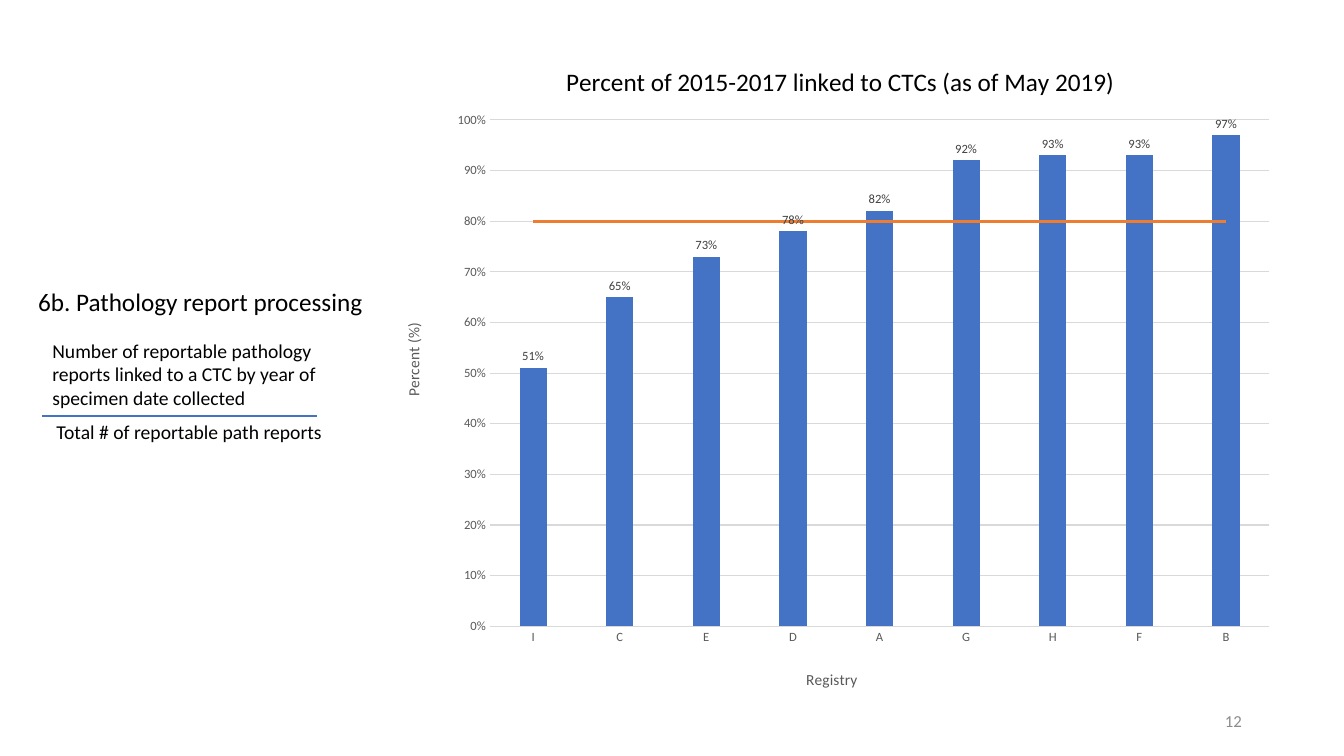
"""Builds the slide on pathology reports linked to CTCs by registry."""
from copy import deepcopy

from lxml import etree
from pptx import Presentation
from pptx.chart.data import CategoryChartData
from pptx.dml.color import RGBColor
from pptx.enum.chart import XL_CHART_TYPE as CT, XL_LABEL_POSITION as LP
from pptx.enum.chart import XL_MARKER_STYLE as MS, XL_TICK_MARK as TM
from pptx.enum.shapes import MSO_CONNECTOR as CONN
from pptx.enum.text import MSO_ANCHOR as ANCHOR, MSO_AUTO_SIZE as AUTO, PP_ALIGN as ALIGN
from pptx.oxml import parse_xml
from pptx.oxml.ns import nsdecls, qn
from pptx.util import Cm, Pt

COLORS = {"text": "000000", "axis": "595959", "label": "404040", "grid": "D9D9D9",
          "bar": "4472C4", "target": "ED7D31", "number": "8C8C8C"}
RATES = {"I": 0.51, "C": 0.65, "E": 0.73, "D": 0.78, "A": 0.82,
         "G": 0.92, "H": 0.93, "F": 0.93, "B": 0.97}
TARGET = 0.8


class SlideBuilder:
    font_name = "Calibri"

    def __init__(self, slide):
        self.s = slide

    def rgb(self, color):
        return RGBColor.from_string(COLORS[color])

    def style_font(self, font, size, color):
        font.name, font.size, font.bold = self.font_name, Pt(size), False
        font.color.rgb = self.rgb(color)

    def style_line(self, line, color, width):
        line.color.rgb = self.rgb(color)
        line.width = Pt(width)

    def text(self, box, text, size, color="text", align=ALIGN.LEFT,
             anchor=ANCHOR.TOP, auto_size=AUTO.SHAPE_TO_FIT_TEXT):
        tf = self.s.shapes.add_textbox(*map(Cm, box)).text_frame
        tf.word_wrap, tf.auto_size, tf.vertical_anchor = True, auto_size, anchor
        p = tf.paragraphs[0]
        p.text, p.alignment = text, align
        self.style_font(p.font, size, color)

    def line(self, ends, color, width):
        cx = self.s.shapes.add_connector(CONN.STRAIGHT, *map(Cm, ends))
        self.style_line(cx.line, color, width)
        etree.SubElement(cx._element.spPr, qn("a:effectLst"))

    def place(self, element, **fractions):
        for old in element.findall(qn("c:layout")):
            element.remove(old)
        inner = '<c:layoutTarget val="inner"/>' if "w" in fractions else ""
        modes = "".join(f'<c:{k}Mode val="edge"/>' for k in "xy")
        values = "".join(f'<c:{k} val="{v}"/>' for k, v in fractions.items())
        layout = parse_xml(f'<c:layout {nsdecls("c")}><c:manualLayout>{inner}{modes}{values}'
                           '</c:manualLayout></c:layout>')
        element.insert(0 if element.find(qn("c:tx")) is None else 1, layout)

    def title(self, title, text, size, color, x, y):
        p = title.text_frame.paragraphs[0]
        p.text = text
        self.style_font(p.font, size, color)
        self.place(title._element, x=x, y=y)

    def axis(self, axis, text, x, y):
        axis.major_tick_mark = axis.minor_tick_mark = TM.NONE
        self.style_font(axis.tick_labels.font, 9, "axis")
        self.title(axis.axis_title, text, 11, "axis", x, y)

    def target_line(self, chart):
        bars = chart.plots[0]._element
        ser = bars.findall(qn("c:ser"))[1]
        for flag in ser.findall(qn("c:invertIfNegative")):
            ser.remove(flag)
        lines = parse_xml(f'<c:lineChart {nsdecls("c")}><c:grouping val="standard"/>'
                          '<c:varyColors val="0"/></c:lineChart>')
        lines.append(ser)
        etree.SubElement(lines, qn("c:marker")).set("val", "1")
        for ax_id in bars.findall(qn("c:axId")):
            lines.append(deepcopy(ax_id))
        bars.addnext(lines)
        target = chart.plots[1].series[0]
        target.smooth = False
        target.marker.style = MS.NONE
        self.style_line(target.format.line, "target", 2.25)

    def chart(self, box):
        data = CategoryChartData(number_format="0%")
        data.categories = list(RATES)
        data.add_series("Series 1", list(RATES.values()))
        data.add_series("Series 2", [TARGET] * len(RATES))
        chart = self.s.shapes.add_chart(CT.COLUMN_CLUSTERED, *map(Cm, box), data).chart
        self.style_font(chart.font, 10, "text")
        chart.has_legend = False
        self.title(chart.chart_title, "Percent of 2015-2017 linked to CTCs (as of May 2019)",
                   18, "text", 0.19, 0.04)

        plot = chart.plots[0]
        plot.gap_width, plot.overlap, plot.vary_by_categories = 219, -27, False
        bars = plot.series[0]
        bars.format.fill.solid()
        bars.format.fill.fore_color.rgb = self.rgb("bar")
        labels = bars.data_labels
        labels.show_value, labels.position = True, LP.OUTSIDE_END
        labels.number_format, labels.number_format_is_linked = "0%", False
        self.style_font(labels.font, 9, "label")
        self.target_line(chart)

        cat, val = chart.category_axis, chart.value_axis
        self.axis(cat, "Registry", 0.46, 0.95)
        self.style_line(cat.format.line, "grid", 0.75)
        self.axis(val, "Percent (%)", 0.01, 0.43)
        body = val.axis_title.text_frame._txBody.bodyPr
        body.set("rot", "-5400000")
        body.set("vert", "horz")
        val.minimum_scale, val.maximum_scale, val.major_unit = 0, 1, 0.1
        val.tick_labels.number_format = "0%"
        val.tick_labels.number_format_is_linked = False
        val.format.line.fill.background()
        self.style_line(val.major_gridlines.format.line, "grid", 0.75)
        self.place(chart._chartSpace.chart.plotArea, x=0.11, y=0.13, w=0.87, h=0.76)


def main():
    prs = Presentation()
    prs.slide_width, prs.slide_height = Cm(33.87), Cm(19.05)
    b = SlideBuilder(prs.slides.add_slide(prs.slide_layouts[6]))
    b.chart((9.86, 0.84, 22.58, 16.79))
    b.text((0.71, 7.09, 13.03, 1.8), "6b. Pathology report processing", 18)
    b.text((1.07, 8.41, 7.75, 2.06), "Number of reportable pathology reports linked to a CTC "
           "by year of specimen date collected", 14)
    b.text((1.17, 10.46, 7.65, 0.86), "Total # of reportable path reports", 14)
    b.line((1.07, 10.49, 8, 10.49), "bar", 1.5)
    b.text((23.93, 17.65, 7.62, 1.02), "12", 12, "number", ALIGN.RIGHT, ANCHOR.MIDDLE, AUTO.NONE)
    prs.save("out.pptx")


if __name__ == "__main__":
    main()
